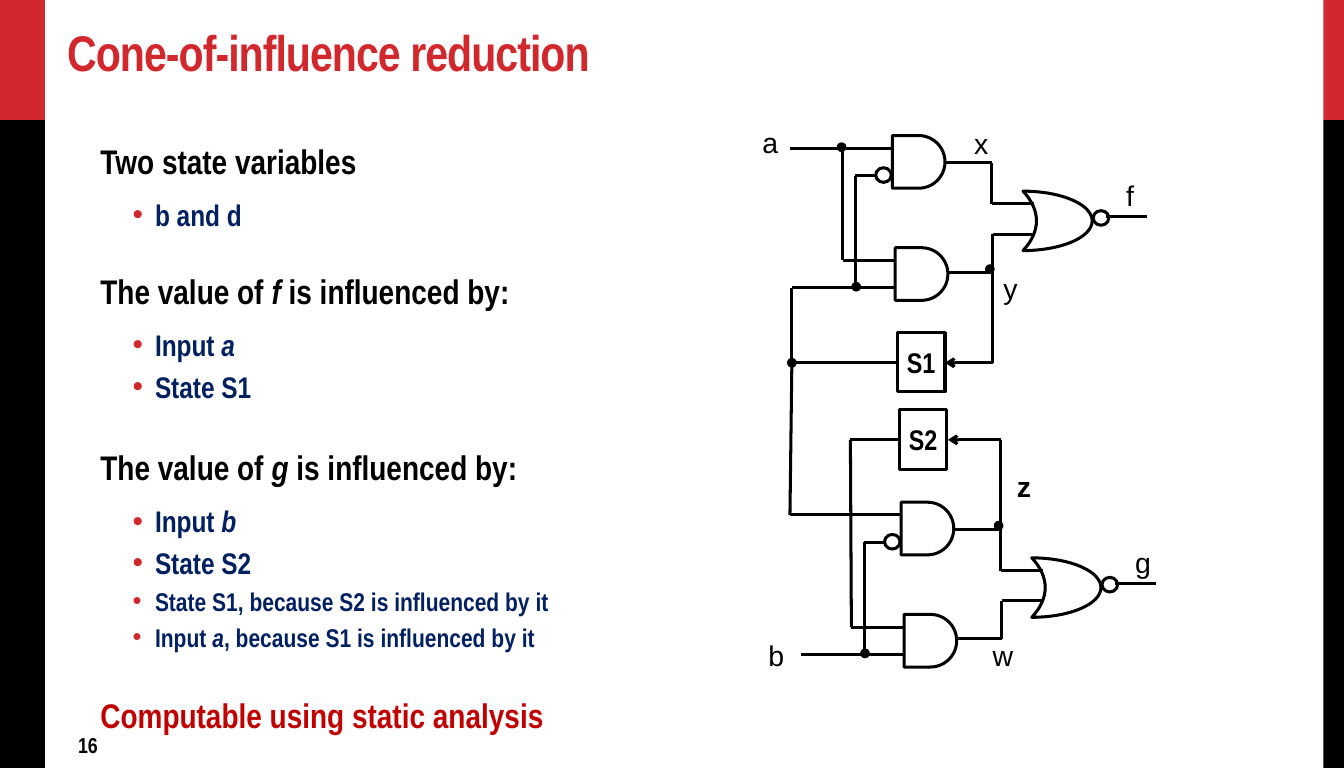
from lxml.etree import SubElement
from pptx import Presentation
from pptx.dml.color import RGBColor
from pptx.enum.shapes import MSO_CONNECTOR, MSO_SHAPE
from pptx.enum.text import MSO_ANCHOR, PP_ALIGN
from pptx.oxml.ns import qn
from pptx.util import Inches, Pt

RED = RGBColor(0xD1, 0x28, 0x2E)
DARK_RED = RGBColor(0xC0, 0x00, 0x00)
NAVY = RGBColor(0x00, 0x20, 0x60)
BLACK = RGBColor(0x00, 0x00, 0x00)
WHITE = RGBColor(0xFF, 0xFF, 0xFF)
NARROW = "Arial Narrow"
LINE = Pt(2.25)
DOT = 0.1

OUTLINE = [
    (0, 25.2, 0, BLACK, ["Two state variables"]),
    (1, 22, 4.4, NAVY, ["b and d"]),
    (0, 25.2, 28.3, BLACK, ["The value of ", "f", " is influenced by:"]),
    (1, 22, 4.4, NAVY, ["Input ", "a"]),
    (1, 22, 4.4, NAVY, ["State S1"]),
    (0, 25.2, 31.5, BLACK, ["The value of ", "g", " is influenced by:"]),
    (1, 22, 4.4, NAVY, ["Input ", "b"]),
    (1, 22, 4.4, NAVY, ["State S2"]),
    (1, 18.9, 3.8, NAVY, ["State S1, because S2 is influenced by it"]),
    (1, 18.9, 3.8, NAVY, ["Input ", "a", ", because S1 is influenced by it"]),
    (0, 25.2, 31, DARK_RED, ["Computable using static analysis"]),
]


def add_shape(s, kind, left, top, width, height, fill=None, line=None):
    """Add a preset shape with the given fill and outline colours."""
    sp = s.shapes.add_shape(kind, Inches(left), Inches(top), Inches(width), Inches(height))
    sp.shadow.inherit = False
    if fill is None:
        sp.fill.background()
    else:
        sp.fill.solid()
        sp.fill.fore_color.rgb = fill
    if line is None:
        sp.line.fill.background()
    else:
        sp.line.color.rgb = line
        sp.line.width = LINE
    return sp


def add_run(p, text, size, color, bold=True, font=NARROW, italic=False):
    """Add one formatted run to a paragraph."""
    r = p.add_run()
    r.text = text
    r.font.size = Pt(size)
    r.font.name = font
    r.font.bold = bold
    r.font.italic = italic
    r.font.color.rgb = color
    return r


def add_text(s, left, top, width, height, wrap=True, inset=(0.11, 0.06)):
    """Add an empty text box and return its text frame."""
    tf = s.shapes.add_textbox(Inches(left), Inches(top), Inches(width), Inches(height)).text_frame
    tf.word_wrap = wrap
    tf.margin_left = tf.margin_right = Inches(inset[0])
    tf.margin_top = tf.margin_bottom = Inches(inset[1])
    return tf


def add_wire(s, points, arrow=False):
    """Join the points with straight lines, the last one optionally arrowed."""
    for (x1, y1), (x2, y2) in zip(points, points[1:]):
        wire = s.shapes.add_connector(
            MSO_CONNECTOR.STRAIGHT, Inches(x1), Inches(y1), Inches(x2), Inches(y2))
        wire.line.color.rgb = BLACK
        wire.line.width = LINE
        SubElement(wire._element.spPr, qn("a:effectLst"))
    if arrow:
        SubElement(wire.line._get_or_add_ln(), qn("a:tailEnd"), type="arrow")


def add_dot(s, x, y):
    """Mark a wire junction centred on a point."""
    add_shape(s, MSO_SHAPE.OVAL, x - DOT / 2, y - DOT / 2, DOT, DOT, BLACK)


def add_side_bar(s, left, width):
    """Draw one red and black edge bar."""
    add_shape(s, MSO_SHAPE.RECTANGLE, left, 1.23, width, 6.65, BLACK)
    add_shape(s, MSO_SHAPE.RECTANGLE, left, 0, width, 1.23, RED)


def add_title(s, left, top, width, height):
    """Write the slide title."""
    tf = add_text(s, left, top, width, height)
    tf.vertical_anchor = MSO_ANCHOR.BOTTOM
    r = add_run(tf.paragraphs[0], "Cone-of-influence reduction", 37, RED)
    r.font._element.set("spc", "-70")


def add_outline(s, left, top, width, height):
    """Write headings and bullets, with the middle run of each in italics."""
    tf = add_text(s, left, top, width, height)
    for i, (level, size, before, color, runs) in enumerate(OUTLINE):
        p = tf.paragraphs[0] if i == 0 else tf.add_paragraph()
        if i:
            p.space_before = Pt(before)
        if level:
            p.level = level
            pPr = p._p.get_or_add_pPr()
            pPr.set("marL", str(Inches(0.56)))
            pPr.set("indent", str(Inches(-0.23)))
            SubElement(SubElement(pPr, qn("a:buClr")), qn("a:srgbClr"), val=str(RED))
            SubElement(pPr, qn("a:buFont"), typeface="Arial")
            SubElement(pPr, qn("a:buChar"), char="•")
        else:
            p.space_after = Pt(6.8)
        for n, text in enumerate(runs):
            add_run(p, text, size, color, italic=n == 1)


def add_gates(s, left, top, labels):
    """Draw two AND gates feeding a NOR gate, with wires and labels."""
    def shift(points):
        return [(left + x, top + y) for x, y in points]

    for kind, x, y, w, h in [
        (MSO_SHAPE.MOON, 2.39, 0.57, 0.71, 0.61),
        (MSO_SHAPE.FLOWCHART_DELAY, 1.05, 0, 0.54, 0.54),
        (MSO_SHAPE.FLOWCHART_DELAY, 1.08, 1.15, 0.54, 0.54),
        (MSO_SHAPE.OVAL, 0.88, 0.33, 0.16, 0.15),
        (MSO_SHAPE.OVAL, 3.11, 0.77, 0.16, 0.15),
    ]:
        sp = add_shape(s, kind, left + x, top + y, w, h, line=BLACK)
        if kind == MSO_SHAPE.MOON:
            sp.adjustments[0] = 0.806
            sp._element.spPr.find(qn("a:xfrm")).set("flipH", "1")
    for points in [
        [(1.59, 0.28), (2.07, 0.28), (2.07, 0.7), (2.5, 0.7)],
        [(1.61, 1.4), (2.08, 1.4), (2.08, 1.01), (2.5, 1.01)],
        [(0.88, 0.41), (0.67, 0.41), (0.67, 1.55)],
        [(1.07, 1.56), (0.02, 1.56)],
        [(1.08, 1.28), (0.54, 1.28)],
        [(3.24, 0.83), (3.66, 0.83)],
    ]:
        add_wire(s, shift(points))
    add_dot(s, left + 0.68, top + 1.55)
    for text, x, y, bold in labels:
        tf = add_text(s, left + x, top + y, 0.36, 0.45, False, (0.1, 0.05))
        add_run(tf.paragraphs[0], text, 21, BLACK, bold, "Arial")


def add_state(s, text, left, top):
    """Draw a state register box."""
    sp = add_shape(s, MSO_SHAPE.RECTANGLE, left, top, 0.49, 0.61, WHITE, BLACK)
    tf = sp.text_frame
    tf.word_wrap = False
    tf.margin_left = tf.margin_right = 0
    tf.vertical_anchor = MSO_ANCHOR.MIDDLE
    tf.paragraphs[0].alignment = PP_ALIGN.CENTER
    add_run(tf.paragraphs[0], text, 21, BLACK)


def add_circuit(s, left, top):
    """Draw both gate groups and the state registers linking them."""
    add_gates(s, left, top, [("a", -0.38, -0.16, False), ("x", 1.79, -0.15, False),
                             ("y", 2.09, 1.34, False), ("f", 3.35, 0.39, False)])
    add_gates(s, left + 0.09, top + 3.76, [("b", -0.41, 1.34, False), ("z", 2.14, -0.39, True),
                                           ("w", 1.89, 1.34, False), ("g", 3.35, 0.39, False)])
    add_state(s, "S1", left + 1.1, top + 2.02)
    add_state(s, "S2", left + 1.12, top + 2.81)
    for points, arrow in [
        ([(1.05, 0.13), (0, 0.13)], False),
        ([(0.54, 0.13), (0.54, 1.28)], False),
        ([(2.08, 1.4), (2.08, 2.33), (1.59, 2.33)], True),
        ([(1.1, 2.33), (0.02, 2.33), (0.02, 1.56)], False),
        ([(0.02, 2.33), (0, 3.89), (1.14, 3.89)], False),
        ([(1.12, 3.12), (0.62, 3.12), (0.63, 5.04)], False),
        ([(2.16, 4.04), (2.16, 3.12), (1.62, 3.12)], True),
    ]:
        add_wire(s, [(left + x, top + y) for x, y in points], arrow)
    for x, y in [(0.53, 0.12), (0.02, 2.33), (2.05, 1.37), (2.14, 4)]:
        add_dot(s, left + x, top + y)


def add_page_number(s, left, top, width, height):
    """Write the slide number."""
    tf = add_text(s, left, top, width, height)
    add_run(tf.paragraphs[0], "16", 16, BLACK)


def main():
    """Build and save the slide."""
    prs = Presentation()
    prs.slide_width, prs.slide_height = Inches(441 / 32), Inches(63 / 8)
    s = prs.slides.add_slide(prs.slide_layouts[6])
    add_side_bar(s, 13.57, 0.21)
    add_side_bar(s, 0, 0.46)
    add_title(s, 0.58, 0.18, 12.86, 0.72)
    add_outline(s, 0.92, 1.38, 5.34, 6.02)
    add_page_number(s, 0.69, 7.44, 8.38, 0.34)
    add_circuit(s, 8.1, 1.39)
    prs.save("out.pptx")


if __name__ == "__main__":
    main()
